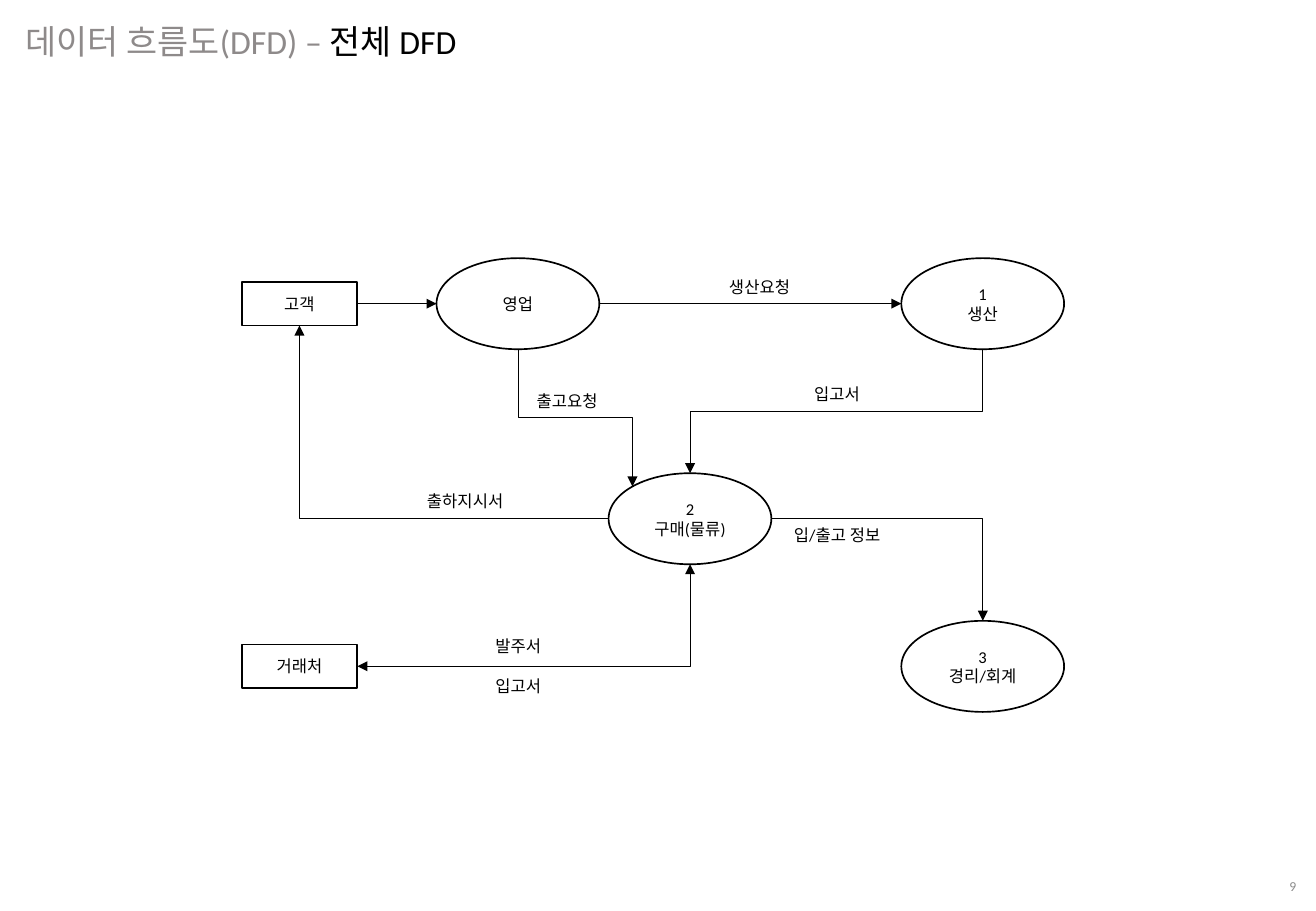
from math import sqrt

from lxml import etree
from pptx import Presentation
from pptx.dml.color import RGBColor
from pptx.enum.shapes import MSO_CONNECTOR, MSO_SHAPE
from pptx.enum.text import MSO_ANCHOR, MSO_AUTO_SIZE, PP_ALIGN
from pptx.oxml.ns import qn
from pptx.util import Pt

RECTANGLE, ELLIPSE = MSO_SHAPE.RECTANGLE, MSO_SHAPE.OVAL
STRAIGHT, ELBOW = MSO_CONNECTOR.STRAIGHT, MSO_CONNECTOR.ELBOW
TOP, MIDDLE = MSO_ANCHOR.TOP, MSO_ANCHOR.MIDDLE
LEFT, CENTER, RIGHT = PP_ALIGN.LEFT, PP_ALIGN.CENTER, PP_ALIGN.RIGHT
NO_FIT, GROW = MSO_AUTO_SIZE.NONE, MSO_AUTO_SIZE.SHAPE_TO_FIT_TEXT

BLACK, WHITE, TITLE_GRAY, NUMBER_GRAY = "000000", "FFFFFF", "8E8A8A", "8C8C8C"

# Directions from a node's centre to its edge
WEST, EAST, NORTH, SOUTH = (-1, 0), (1, 0), (0, -1), (0, 1)
NORTHWEST = (-sqrt(0.5), -sqrt(0.5))

# Shape, width and height of the two node kinds
ENTITY = (RECTANGLE, 68.5, 26)
PROCESS = (ELLIPSE, 96.5, 54)

LEFT_X, SALES_X, PURCHASE_X, RIGHT_X = 177.5, 307, 409, 582.5
TOP_Y, MIDDLE_Y, BOTTOM_Y = 180, 307.5, 395

NODES = {
    "customer": (ENTITY, LEFT_X, TOP_Y, ["고객"]),
    "vendor": (ENTITY, LEFT_X, BOTTOM_Y, ["거래처"]),
    "sales": (PROCESS, SALES_X, TOP_Y, ["영업"]),
    "production": (PROCESS, RIGHT_X, TOP_Y, ["1", "생산"]),
    "purchase": (PROCESS, PURCHASE_X, MIDDLE_Y, ["2", "구매(물류)"]),
    "accounting": (PROCESS, RIGHT_X, BOTTOM_Y, ["3", "경리/회계"]),
}

# Start node and side, end node and side, route, arrowheads
END, BOTH = ("tailEnd",), ("headEnd", "tailEnd")
FLOWS = [
    ("customer", EAST, "sales", WEST, "straight", END),
    ("sales", EAST, "production", WEST, "straight", END),
    ("sales", SOUTH, "purchase", NORTHWEST, "step", END),
    ("production", SOUTH, "purchase", NORTH, "step", END),
    ("vendor", EAST, "purchase", SOUTH, "corner", BOTH),
    ("purchase", EAST, "accounting", NORTH, "corner", END),
    ("purchase", WEST, "customer", SOUTH, "corner", END),
]

# Text, left, top, width
LABELS = [
    ("생산요청", 425, 160.5, 54),
    ("출고요청", 311, 228, 54),
    ("입고서", 475.5, 224, 44),
    ("출하지시서", 246, 287.5, 64),
    ("입/출고 정보", 463.5, 307.5, 71.5),
    ("발주서", 286.5, 373.5, 44),
    ("입고서", 286.5, 397, 44),
]


def color(hex_value):
    return RGBColor.from_string(hex_value)


def edge_point(name, direction):
    (_, width, height), x, y, _ = NODES[name]
    return x + direction[0] * width / 2, y + direction[1] * height / 2


class Diagram:
    font_name = "Calibri"
    text_size = 9.8
    outline_width = 1
    flow_width = 0.5

    def __init__(self, slide):
        self.slide = slide

    def fill_text(self, shape, lines, size=text_size, align=CENTER, **frame_values):
        """Fill a shape with lines, each a list of (text, colour) runs."""
        frame = shape.text_frame
        for name, value in frame_values.items():
            setattr(frame, name, value)
        for index, runs in enumerate(lines):
            paragraph = frame.add_paragraph() if index else frame.paragraphs[0]
            paragraph.alignment = align
            for text, hex_value in runs:
                run = paragraph.add_run()
                run.text = text
                font_values = {"name": self.font_name, "size": Pt(size)}
                for name, value in font_values.items():
                    setattr(run.font, name, value)
                run.font.color.rgb = color(hex_value)

    def title(self, runs):
        shape = self.slide.shapes.title
        box = {"left": 8, "top": 8.5, "width": 319.5, "height": 31.5}
        for name, value in box.items():
            setattr(shape, name, Pt(value))
        self.fill_text(shape, [runs], size=20, align=LEFT, word_wrap=True,
                       vertical_anchor=TOP, auto_size=GROW)

    def node(self, kind, x, y, lines):
        preset, width, height = kind
        shape = self.slide.shapes.add_shape(
            preset, Pt(x - width / 2), Pt(y - height / 2), Pt(width), Pt(height))
        shape.shadow.inherit = False
        shape.fill.solid()
        shape.fill.fore_color.rgb = color(WHITE)
        shape.line.color.rgb = color(BLACK)
        shape.line.width = Pt(self.outline_width)
        self.fill_text(shape, [[(line, BLACK)] for line in lines],
                       word_wrap=False, vertical_anchor=MIDDLE)

    def text(self, text, left, top, width, height=19.5, hex_value=BLACK, **values):
        shape = self.slide.shapes.add_textbox(Pt(left), Pt(top), Pt(width), Pt(height))
        self.fill_text(shape, [[(text, hex_value)]], **values)

    def flow(self, start, end, route, arrowheads):
        """Join two points: straight, with one corner, or stepping down first."""
        (x1, y1), (x2, y2) = start, end
        if route == "step":
            # A quarter turn about the centre makes the elbow leave vertically.
            x, y = (x1 + x2) / 2, (y1 + y2) / 2
            half_width, half_height = (y2 - y1) / 2, (x2 - x1) / 2
            x1, x2 = x - half_width, x + half_width
            y1, y2 = y + half_height, y - half_height
        connector = self.slide.shapes.add_connector(
            STRAIGHT if route == "straight" else ELBOW,
            Pt(x1), Pt(y1), Pt(x2), Pt(y2))
        connector.line.color.rgb = color(BLACK)
        connector.line.width = Pt(self.flow_width)
        properties = connector.element.spPr
        if route == "step":
            properties.find(qn("a:xfrm")).set("rot", "5400000")
        elif route == "corner":
            properties.find(qn("a:prstGeom")).set("prst", "bentConnector2")
        for tag in arrowheads:
            etree.SubElement(properties.find(qn("a:ln")), qn("a:" + tag), type="triangle")
        etree.SubElement(properties, qn("a:effectLst"))


def main():
    presentation = Presentation()
    presentation.slide_width, presentation.slide_height = Pt(780), Pt(540)
    title_only = presentation.slide_layouts[5]
    diagram = Diagram(presentation.slides.add_slide(title_only))

    diagram.title([("데이터 흐름도(DFD) – ", TITLE_GRAY), ("전체 DFD", BLACK)])
    for node in NODES.values():
        diagram.node(*node)
    for source, source_side, target, target_side, route, arrowheads in FLOWS:
        diagram.flow(edge_point(source, source_side),
                     edge_point(target, target_side), route, arrowheads)
    for label in LABELS:
        diagram.text(*label, align=LEFT, word_wrap=False, auto_size=GROW)
    diagram.text("9", 600, 510.5, 175.5, 29, NUMBER_GRAY, size=8.1, align=RIGHT,
                 word_wrap=True, vertical_anchor=MIDDLE, auto_size=NO_FIT)
    presentation.save("out.pptx")


if __name__ == "__main__":
    main()
